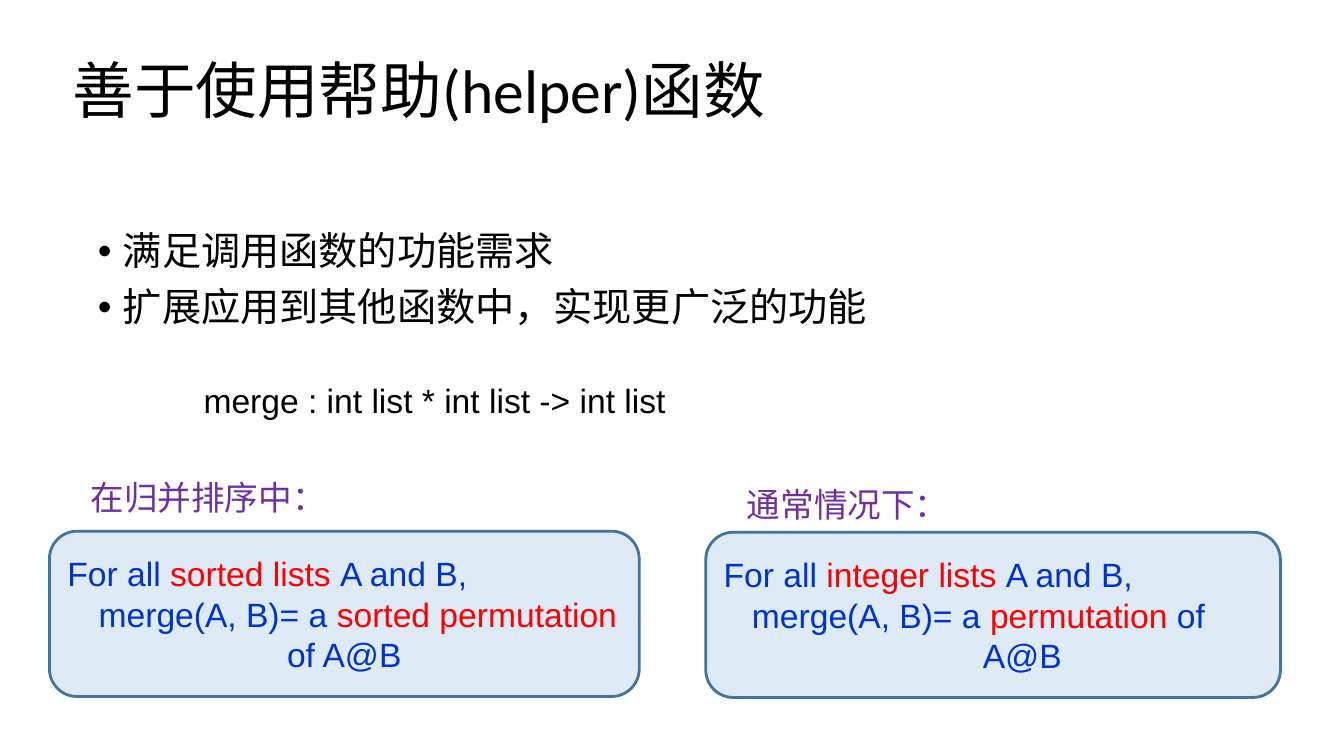
"""Build a slide about making good use of helper functions."""
from lxml.etree import SubElement
from pptx import Presentation
from pptx.dml.color import RGBColor
from pptx.enum.shapes import MSO_SHAPE as Shape
from pptx.enum.text import MSO_ANCHOR as Anchor, PP_ALIGN as Align
from pptx.oxml.ns import qn
from pptx.util import Inches, Pt

THEME = {
    "black": "000000", "blue": "0033CC", "red": "FF0000", "purple": "7030A0",
    "fill": "DEEBF6", "outline": "43739E",
    "title": 44, "body": 28, "text": 24,
    "title_font": "Calibri", "font": "Arial", "chinese": "Noto Sans CJK SC",
}

TITLE = "善于使用帮助(helper)函数"
BULLETS = ["满足调用函数的功能需求", "扩展应用到其他函数中，实现更广泛的功能"]
SIGNATURE = "merge : int list * int list -> int list"
CASES = [
    {
        "label": "在归并排序中：", "label_at": (0.8, 4.68, 2.54, 0.51),
        "card_at": (0.49, 5.27, 5.85, 1.64),
        "lines": [
            ([("For all ", "blue"), ("sorted lists ", "red"), ("A and B,", "blue")], {}),
            ([("merge(A, B)= a ", "blue"), ("sorted permutation", "red")], {"indent": 0.31}),
            ([("of A@B", "blue")], {"align": Align.CENTER}),
        ],
    },
    {
        "label": "通常情况下：", "label_at": (7.31, 4.75, 2.54, 0.51),
        "card_at": (7, 5.28, 5.7, 1.64),
        "lines": [
            ([("For all ", "blue"), ("integer lists ", "red"), ("A and B,", "blue")], {}),
            ([("merge(A, B)= a ", "blue"), ("permutation", "red"), (" of", "blue")], {"indent": 0.28}),
            ([("A@B", "blue")], {"indent": 2.57}),
        ],
    },
]


def write(shape, lines, size="text", font="font", anchor=Anchor.TOP, inset=0.1,
          spacing=1.0, before=0, bullet=None):
    """Fill a shape with lines of (text, colour) runs and paragraph options."""
    frame = shape.text_frame
    frame.word_wrap = True
    frame.vertical_anchor = anchor
    frame.margin_left = frame.margin_right = Inches(inset)
    frame.margin_top = frame.margin_bottom = Inches(0.05)
    for index, (runs, options) in enumerate(lines):
        paragraph = frame.add_paragraph() if index else frame.paragraphs[0]
        indent = options.get("indent", 0)
        properties = paragraph._p.get_or_add_pPr()
        properties.set("marL", str(Inches(indent)))
        properties.set("indent", str(Inches(-indent if bullet else 0)))
        if bullet:
            SubElement(properties, qn("a:buFont"), typeface=THEME["font"])
            SubElement(properties, qn("a:buChar"), char=bullet)
        paragraph.alignment = options.get("align", Align.LEFT)
        paragraph.line_spacing = spacing
        paragraph.space_before = Pt(before if index else 0)
        for text, colour in runs:
            run = paragraph.add_run()
            run.text = text
            run.font.size = Pt(THEME[size])
            run.font.color.rgb = RGBColor.from_string(THEME[colour])
            run.font.name = THEME[font]
            SubElement(run._r.get_or_add_rPr(), qn("a:ea"), typeface=THEME["chinese"])


def add_text(slide, box, lines, **formatting):
    """Add a text box and write its lines."""
    write(slide.shapes.add_textbox(*map(Inches, box)), lines, **formatting)


def add_card(slide, box, lines):
    """Add a rounded card with a specification."""
    card = slide.shapes.add_shape(Shape.ROUNDED_RECTANGLE, *map(Inches, box))
    card.shadow.inherit = False
    card.fill.solid()
    card.fill.fore_color.rgb = RGBColor.from_string(THEME["fill"])
    card.line.color.rgb = RGBColor.from_string(THEME["outline"])
    card.line.width = Pt(2)
    write(card, lines, anchor=Anchor.MIDDLE)


def main():
    """Create and save the slide."""
    presentation = Presentation()
    presentation.slide_width, presentation.slide_height = Inches(13.33), Inches(7.5)
    slide = presentation.slides.add_slide(presentation.slide_layouts[6])
    add_text(slide, (0.67, 0.1, 12, 1.65), [([(TITLE, "black")], {})], size="title",
             font="title_font", anchor=Anchor.MIDDLE, inset=0.05, spacing=0.9)
    add_text(slide, (0.92, 2.25, 11.5, 1.23),
             [([(text, "black")], {"indent": 0.25}) for text in BULLETS],
             size="body", inset=0.05, spacing=0.9, before=10, bullet="•")
    add_text(slide, (0.92, 3.72, 6.22, 0.5), [([(SIGNATURE, "black")], {"indent": 1})])
    for case in CASES:
        add_card(slide, case["card_at"], case["lines"])
        add_text(slide, case["label_at"], [([(case["label"], "purple")], {})], font="chinese")
    presentation.save("out.pptx")


if __name__ == "__main__":
    main()
